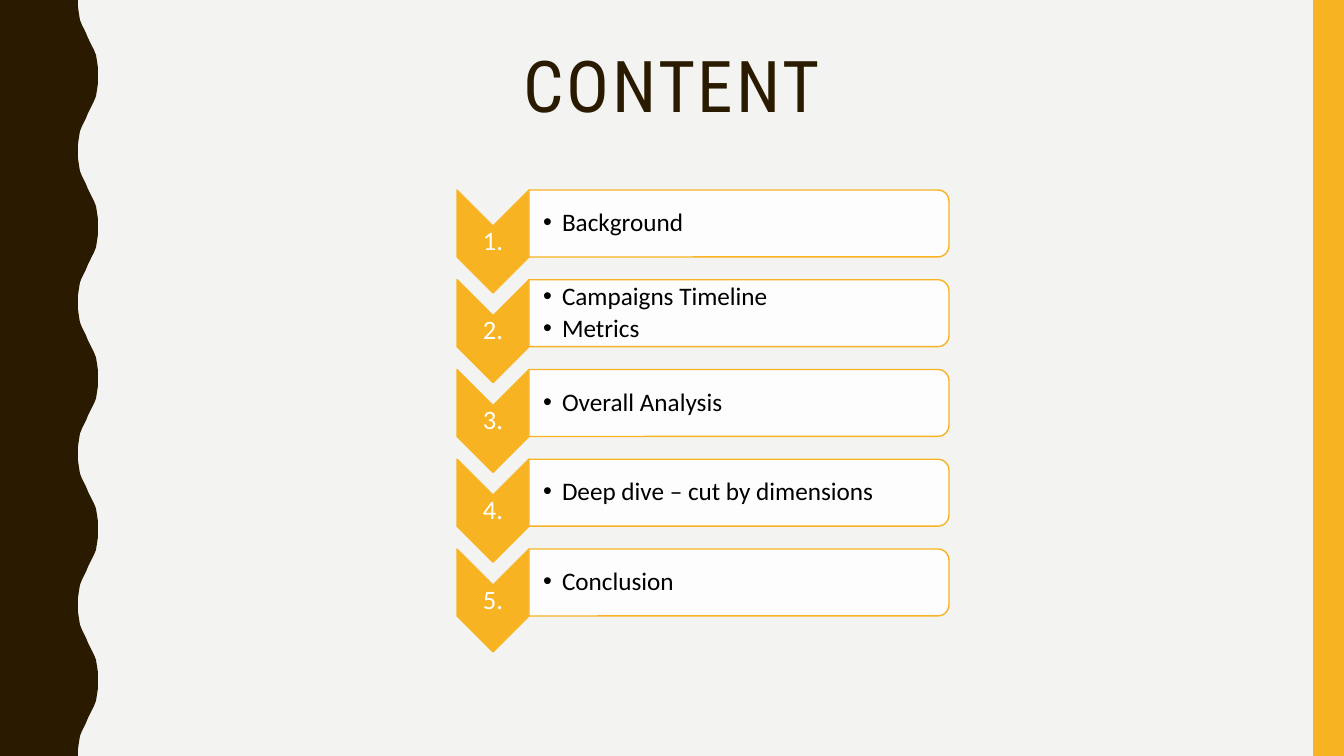
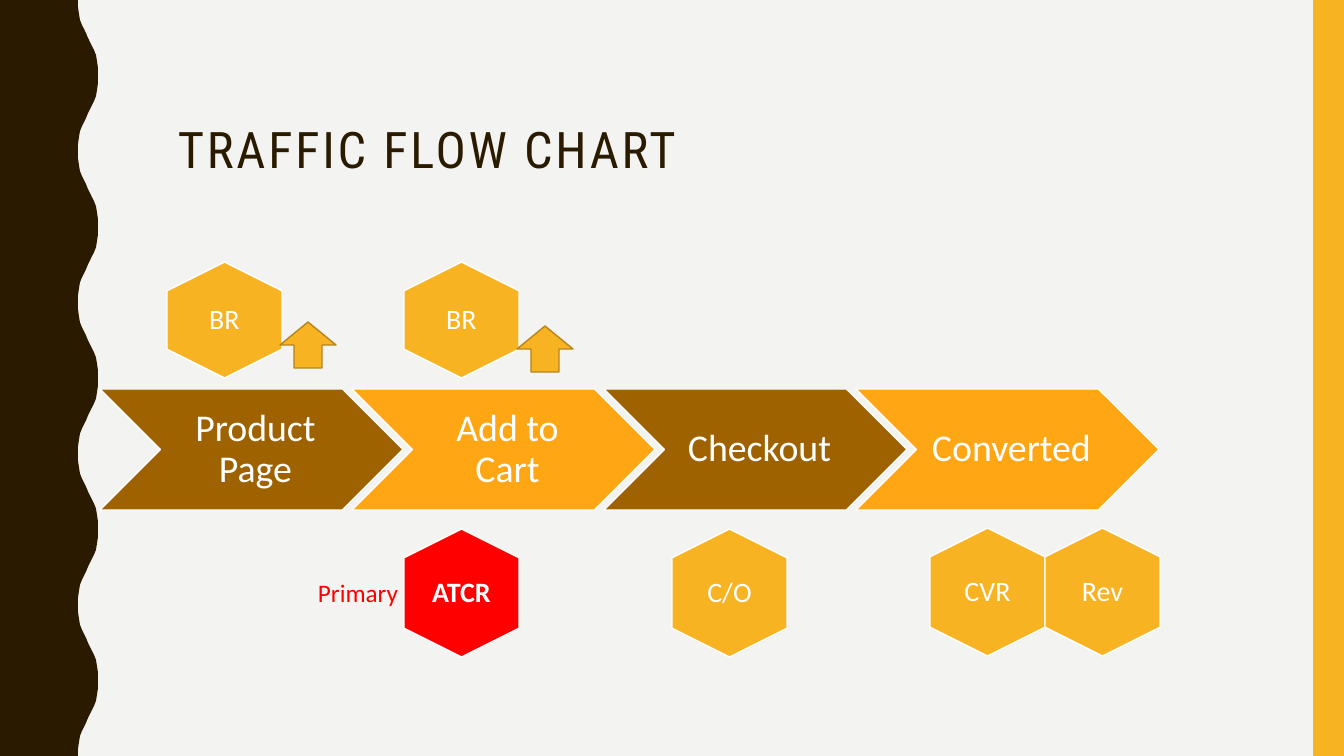
from dataclasses import dataclass

from lxml.etree import SubElement
from pptx import Presentation
from pptx.dml.color import RGBColor
from pptx.enum.shapes import MSO_SHAPE as Preset
from pptx.enum.text import MSO_ANCHOR as Anchor, MSO_AUTO_SIZE as AutoSize, PP_ALIGN as Align
from pptx.oxml.ns import qn
from pptx.util import Pt

WIDTH, HEIGHT = 1344, 756
EMU_PER_PX = 12192000 / WIDTH
TITLE_ONLY = 5


@dataclass(frozen=True)
class Theme:
    paper: str = "F3F3F2"
    dark: str = "2A1A00"
    gold: str = "F8B323"
    gold_edge: str = "B7841A"
    brown: str = "9F6200"
    orange: str = "FFA615"
    red: str = "FF0000"
    white: str = "FFFFFF"
    black: str = "000000"
    heading_font: str = "Roboto Condensed"
    body_font: str = "Calibri"
    big_title: int = 51
    title: int = 36
    stage: int = 27
    metric: int = 20
    number: int = 19
    body: int = 18


THEME = Theme()

# One half wave of the left band, from its narrowest to its widest point
HALF_WAVE = [(78, 0), (78, 7), (79, 14), (80, 20), (82, 25), (84, 29), (86, 33), (88, 38),
             (90, 42), (92, 46), (94, 50), (96, 55), (97, 61), (98, 68), (98, 76)]
HALF_WAVES = 10

AGENDA = [["Background"], ["Campaigns Timeline", "Metrics"], ["Overall Analysis"],
          ["Deep dive – cut by dimensions"], ["Conclusion"]]
AGENDA_TOP, AGENDA_LAST_TOP = 190, 549

STAGES = [("Product Page", THEME.brown), ("Add to Cart", THEME.orange),
          ("Checkout", THEME.brown), ("Converted", THEME.orange)]
METRICS = [("BR", 167, 262, 116), ("BR", 404, 262, 116), ("C/O", 672, 529, 128),
           ("CVR", 930, 528, 128), ("Rev", 1045, 528, 128)]
RISES = [(280, 322), (517, 326)]


def px(length):
    return round(length * EMU_PER_PX)


def rgb(colour):
    return RGBColor.from_string(colour)


def paint(shape, fill, line=None, opacity=None):
    shape.shadow.inherit = False
    shape.fill.solid()
    shape.fill.fore_color.rgb = rgb(fill)
    if opacity is not None:
        colour = shape.element.spPr.find(qn("a:solidFill"))[0]
        SubElement(colour, qn("a:alpha"), val=str(opacity * 1000))
    if line:
        shape.line.color.rgb = rgb(line)
        shape.line.width = Pt(1)
    else:
        shape.line.fill.background()


def add_bullet(para, indent):
    props = para._p.get_or_add_pPr()
    props.set("marL", str(px(indent)))
    props.set("indent", str(-px(indent)))
    SubElement(props, qn("a:buFont"), typeface="Arial")
    SubElement(props, qn("a:buChar"), char="•")


def write(shape, lines, size, colour=THEME.white, font=THEME.body_font, bold=False,
          align=Align.CENTER, anchor=Anchor.MIDDLE, margins=(0, 0, 0, 0), spacing=0.9,
          after=0, bullets=False, tracking=None):
    frame = shape.text_frame
    frame.auto_size = AutoSize.NONE
    frame.word_wrap = True
    frame.vertical_anchor = anchor
    (frame.margin_left, frame.margin_top,
     frame.margin_right, frame.margin_bottom) = map(px, margins)
    for index, line in enumerate(lines):
        para = frame.add_paragraph() if index else frame.paragraphs[0]
        para.alignment = align
        para.line_spacing = spacing
        para.space_before = Pt(0)
        para.space_after = Pt(after)
        if bullets:
            add_bullet(para, 19)
        span = para.add_run()
        span.text = line
        span.font.name = font
        span.font.size = Pt(size)
        span.font.bold = bold
        span.font.color.rgb = rgb(colour)
        if tracking:
            span.font._element.set("spc", str(tracking * 100))


def add_text(page, box, lines, size, **style):
    write(page.shapes.add_textbox(*map(px, box)), lines, size, **style)


def add_shape(page, preset, box, fill, line=None, opacity=None, turned=False):
    """Add a shape that covers box as seen, after a quarter turn if turned."""
    left, top, width, height = box
    if turned:
        left, top = left + (width - height) / 2, top + (height - width) / 2
        width, height = height, width
    shape = page.shapes.add_shape(preset, *map(px, (left, top, width, height)))
    shape.rotation = 90 if turned else 0
    paint(shape, fill, line, opacity)
    return shape


def add_wavy_band(page):
    half = HEIGHT / HALF_WAVES
    points = []
    for index in range(HALF_WAVES):
        start = index * half
        if index % 2:
            points += [(x, start + half - y) for x, y in reversed(HALF_WAVE)]
        else:
            points += [(x, start + y) for x, y in HALF_WAVE]
    outline = page.shapes.build_freeform(0, 0)
    outline.add_line_segments([(px(x), px(y)) for x, y in points + [(0, HEIGHT)]])
    paint(outline.convert_to_shape(), THEME.dark)


def add_page(deck, title, box, size, **style):
    page = deck.slides.add_slide(deck.slide_layouts[TITLE_ONLY])
    add_wavy_band(page)
    add_shape(page, Preset.RECTANGLE, (1313, 0, 31, HEIGHT), THEME.gold)
    heading = page.shapes.title
    heading.left, heading.top, heading.width, heading.height = map(px, box)
    write(heading, [title], size, colour=THEME.dark, font=THEME.heading_font,
          margins=(10, 5, 10, 5), tracking=2, **style)
    return page


def add_agenda_row(page, number, top, topics):
    arrow = (457, top, 72, 103)
    panel = (529, top, 420, 67)
    add_shape(page, Preset.CHEVRON, arrow, THEME.gold, THEME.gold, turned=True)
    add_text(page, arrow, [f"{number}."], THEME.number)
    add_shape(page, Preset.ROUND_2_SAME_RECTANGLE, panel, THEME.white, THEME.gold,
              opacity=90, turned=True)
    add_text(page, panel, topics, THEME.body, colour=THEME.black, align=Align.LEFT,
             margins=(14, 1, 1, 1), after=3, bullets=True)


def add_metric(page, name, left, top, height, fill=THEME.gold, bold=False):
    box = (left, top, 115, height)
    add_shape(page, Preset.HEXAGON, box, fill, THEME.white, turned=True)
    add_text(page, box, [name], THEME.metric, bold=bold)


def build_content(deck):
    page = add_page(deck, "CONTENT", (457, 46, 429, 164), THEME.big_title, anchor=Anchor.TOP)
    pitch = (AGENDA_LAST_TOP - AGENDA_TOP) / (len(AGENDA) - 1)
    for index, topics in enumerate(AGENDA):
        add_agenda_row(page, index + 1, AGENDA_TOP + index * pitch, topics)


def build_traffic_flow(deck):
    page = add_page(deck, "TRAFFIC FLOW CHART", (168, 100, 1176, 105), THEME.title,
                    align=Align.LEFT)
    for index, (name, fill) in enumerate(STAGES):
        stage = add_shape(page, Preset.CHEVRON, (100 + 252 * index, 389, 303, 121),
                          fill, THEME.white)
        write(stage, [name], THEME.stage, margins=(12, 4, 4, 4))
    add_metric(page, "ATCR", 404, 529, 128, fill=THEME.red, bold=True)
    for metric in METRICS:
        add_metric(page, *metric)
    for left, top in RISES:
        add_shape(page, Preset.UP_ARROW, (left, top, 56, 46), THEME.gold, THEME.gold_edge)
    add_text(page, (308, 572, 164, 40), ["Primary"], THEME.body, colour=THEME.red,
             align=Align.LEFT, anchor=Anchor.TOP, margins=(10, 5, 10, 5), spacing=1.0)


def main():
    deck = Presentation()
    deck.slide_width, deck.slide_height = px(WIDTH), px(HEIGHT)
    backdrop = deck.slide_master.background.fill
    backdrop.solid()
    backdrop.fore_color.rgb = rgb(THEME.paper)
    build_content(deck)
    build_traffic_flow(deck)
    deck.save("out.pptx")


if __name__ == "__main__":
    main()
